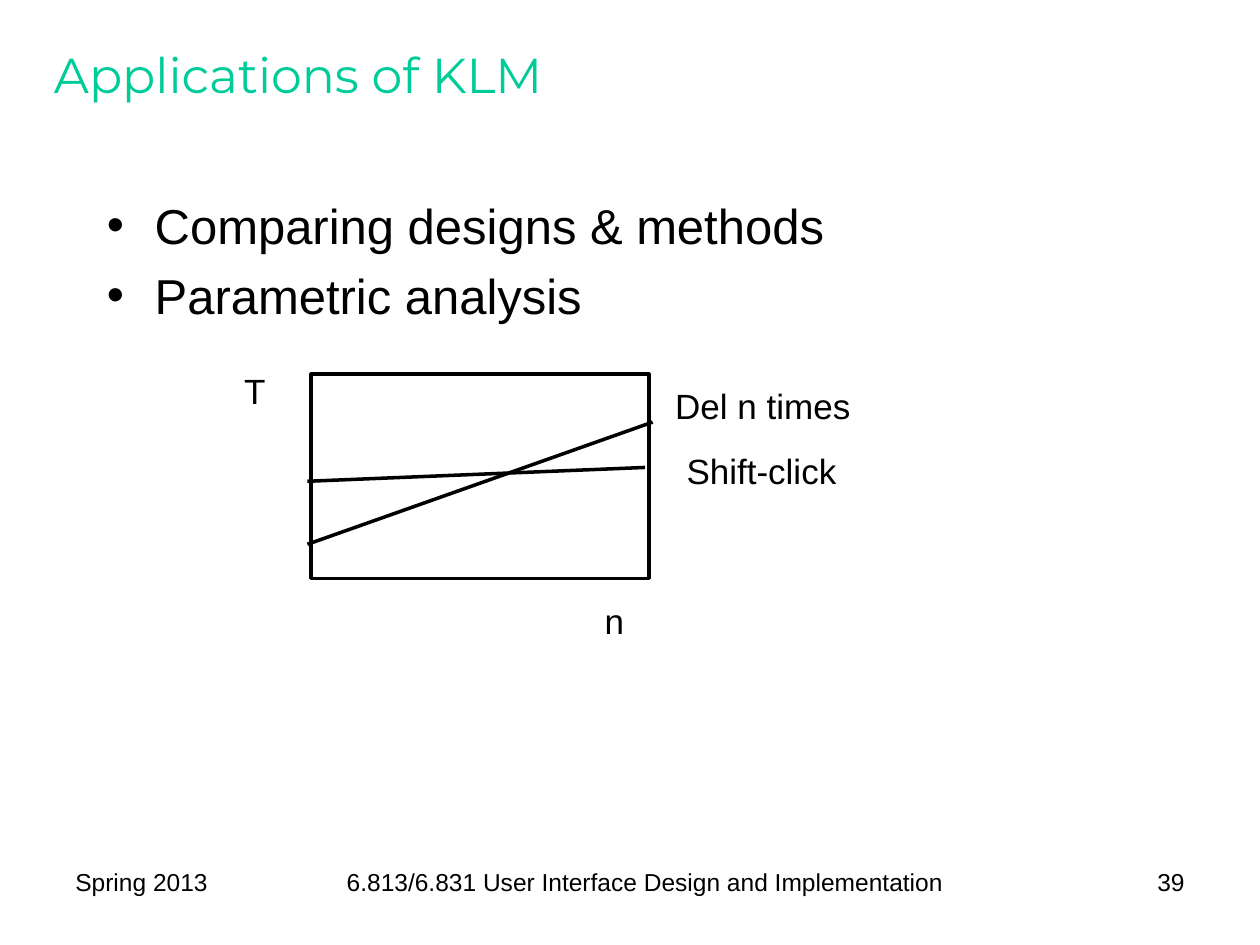
from lxml import etree
from pptx import Presentation
from pptx.dml.color import RGBColor
from pptx.enum.shapes import MSO_CONNECTOR, MSO_SHAPE
from pptx.enum.text import MSO_ANCHOR, PP_ALIGN
from pptx.oxml.ns import qn
from pptx.util import Inches, Pt

COLORS = {"title": "00CC99", "ink": "000000", "paper": "FFFFFF"}

deck = Presentation()
deck.slide_width, deck.slide_height = Inches(10), Inches(7.5)
page = deck.slides.add_slide(deck.slide_layouts[6])


def color(name):
    return RGBColor.from_string(COLORS[name])


def add_text(lines, left, top, width, height, size=20, font="Arial", ink="ink",
             align=PP_ALIGN.LEFT, anchor=MSO_ANCHOR.TOP, wrap=True, bullets=False):
    """Add a text box with one paragraph for each line."""
    box = page.shapes.add_textbox(Inches(left), Inches(top), Inches(width), Inches(height))
    frame = box.text_frame
    frame.word_wrap = wrap
    frame.vertical_anchor = anchor
    for number, line in enumerate(lines):
        para = frame.paragraphs[0] if number == 0 else frame.add_paragraph()
        para.alignment = align
        span = para.add_run()
        span.text = line
        span.font.size = Pt(size)
        span.font.name = font
        span.font.color.rgb = color(ink)
        if bullets:
            para.space_before = Pt(6.5)
            props = para._p.get_or_add_pPr()
            props.set("marL", str(Inches(0.38)))
            props.set("indent", str(Inches(-0.38)))
            etree.SubElement(props, qn("a:buFont"), typeface="Arial")
            etree.SubElement(props, qn("a:buChar"), char="•")


add_text(["Applications of KLM"], 0.33, 0.17, 9.25, 0.83, size=28,
         font="Montserrat", ink="title", anchor=MSO_ANCHOR.MIDDLE)
add_text(["Comparing designs & methods", "Parametric analysis"],
         0.75, 1.5, 8.5, 5.17, size=28, bullets=True)

# Footer
for text, left, width, align in [
    ("Spring 2013", 0.5, 1.5, PP_ALIGN.LEFT),
    ("6.813/6.831 User Interface Design and Implementation", 2.08, 6.08, PP_ALIGN.CENTER),
    ("39", 8.25, 1.25, PP_ALIGN.RIGHT),
]:
    add_text([text], left, 6.83, width, 0.52, size=14, align=align)

# Sketch of time T against n for the two methods
plot = page.shapes.add_shape(MSO_SHAPE.RECTANGLE, Inches(2.47), Inches(2.97),
                             Inches(2.68), Inches(1.62))
plot.shadow.inherit = False
plot.fill.solid()
plot.fill.fore_color.rgb = color("paper")
plot.line.color.rgb = color("ink")
plot.line.width = Pt(2)

for start_y, end_x, end_y in [(4.32, 5.18, 3.35), (3.82, 5.12, 3.71)]:
    method = page.shapes.add_connector(MSO_CONNECTOR.STRAIGHT, Inches(2.44), Inches(start_y),
                                       Inches(end_x), Inches(end_y))
    method.line.color.rgb = color("ink")
    method.line.width = Pt(2)
    etree.SubElement(method._element.spPr, qn("a:effectLst"))

for label, left, top, width in [
    ("T", 1.84, 2.88, 0.37),
    ("n", 4.7, 4.71, 0.36),
    ("Del n times", 5.26, 3, 1.59),
    ("Shift-click", 5.35, 3.52, 1.39),
]:
    add_text([label], left, top, width, 0.43, wrap=False)

deck.save("out.pptx")
